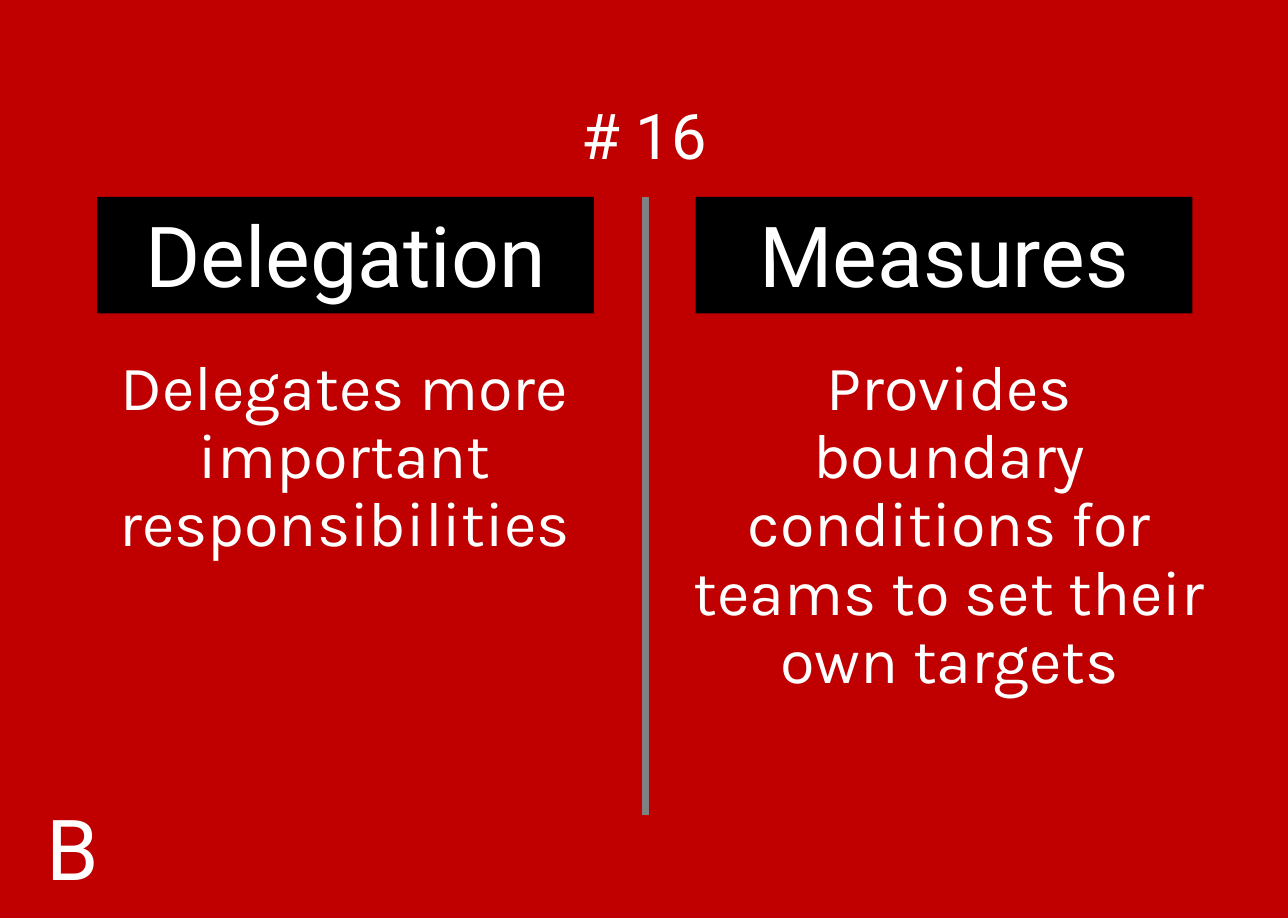
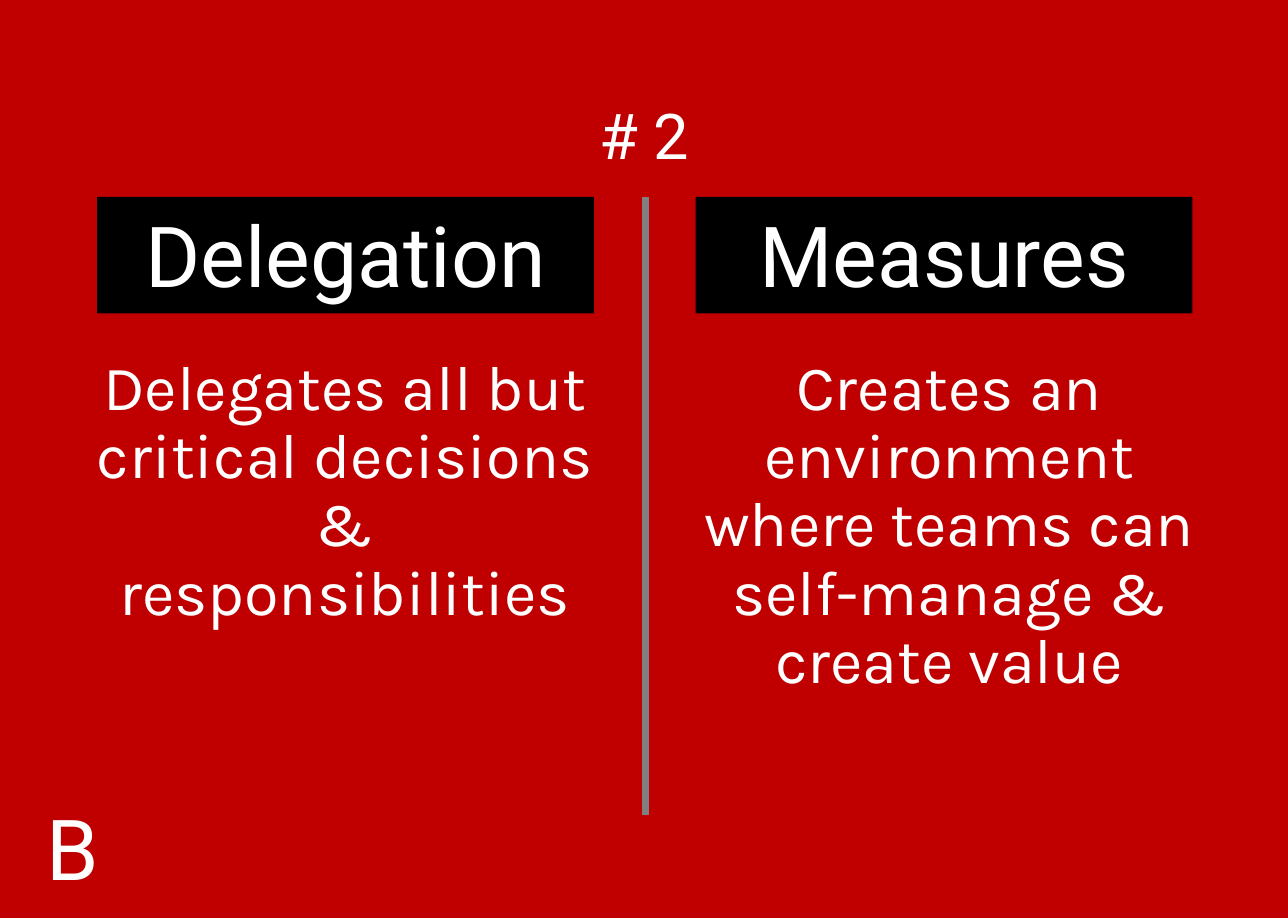
from dataclasses import dataclass

from lxml.etree import SubElement
from pptx import Presentation
from pptx.dml.color import RGBColor
from pptx.enum.shapes import MSO_CONNECTOR, MSO_SHAPE
from pptx.enum.text import MSO_ANCHOR, MSO_AUTO_SIZE, PP_ALIGN
from pptx.oxml.ns import qn
from pptx.util import Inches, Pt


@dataclass(frozen=True)
class Theme:
    red: RGBColor = RGBColor(0xC0, 0x00, 0x00)
    black: RGBColor = RGBColor(0x00, 0x00, 0x00)
    gray: RGBColor = RGBColor(0x80, 0x80, 0x80)
    white: RGBColor = RGBColor(0xFF, 0xFF, 0xFF)
    head: str = "Roboto"
    body: str = "Karla"
    big: int = 40
    mid: int = 30
    rule: int = 3


THEME = Theme()
WIDE, HIGH = 8.5, 6.06
TOP, BASE, BAND = 1.3, 5.38, 0.77
TEXT = 2.19
COLS = (
    ("Delegation", 0.64, 0.5, 3.55),
    ("Measures", 4.59, 4.46, 3.61),
)
CARDS = (
    ("# 16", (
        "Delegates more important responsibilities",
        "Provides boundary conditions for teams to set their own targets",
    )),
    ("# 2", (
        "Delegates all but critical decisions & responsibilities",
        "Creates an environment where teams can self-manage & create value",
    )),
)


def write(shape, text, font=THEME.head, size=THEME.mid, align=PP_ALIGN.CENTER,
          anchor=MSO_ANCHOR.TOP, inset=0.05, line=0.9):
    frame = shape.text_frame
    frame.word_wrap = True
    frame.auto_size = MSO_AUTO_SIZE.NONE
    frame.vertical_anchor = anchor
    frame.margin_left = frame.margin_right = Inches(0.1)
    frame.margin_top, frame.margin_bottom = Inches(inset), Inches(0.05)
    frame.text = text
    para = frame.paragraphs[0]
    para.alignment = align
    para.line_spacing = line
    para.space_before = Pt(0)
    para.font.name = font
    para.font.size = Pt(size)
    para.font.color.rgb = THEME.white


class Deck:
    def __init__(self, theme):
        self.theme = theme
        self.prs = Presentation()
        self.prs.slide_width, self.prs.slide_height = Inches(WIDE), Inches(HIGH)
        fill = self.prs.slide_master.background.fill
        fill.solid()
        fill.fore_color.rgb = theme.red
        self.slide = None

    def start(self):
        self.slide = self.prs.slides.add_slide(self.prs.slide_layouts[5])

    def title(self, text):
        box = self.slide.shapes.title
        box.left, box.top = Inches(3.64), Inches(0.53)
        box.width, box.height = Inches(1.22), Inches(BAND)
        write(box, text, inset=0.16)

    def rule(self, x):
        line = self.slide.shapes.add_connector(
            MSO_CONNECTOR.STRAIGHT, Inches(x), Inches(TOP), Inches(x), Inches(BASE))
        line.line.color.rgb = self.theme.gray
        line.line.width = Pt(self.theme.rule)
        SubElement(line._element.spPr, qn("a:effectLst"))

    def band(self, text, left):
        bar = self.slide.shapes.add_shape(
            MSO_SHAPE.RECTANGLE, Inches(left), Inches(TOP), Inches(3.28), Inches(BAND))
        bar.shadow.inherit = False
        bar.fill.solid()
        bar.fill.fore_color.rgb = self.theme.black
        bar.line.fill.background()
        write(bar, text, size=self.theme.big, anchor=MSO_ANCHOR.BOTTOM)

    def text(self, text, left, top, width, height, **form):
        box = self.slide.shapes.add_textbox(
            Inches(left), Inches(top), Inches(width), Inches(height))
        write(box, text, **form)

    def card(self, title, notes):
        self.start()
        self.rule(4.26)
        self.title(title)
        for (head, edge, left, width), note in zip(COLS, notes):
            self.text(note, left, TEXT, width, BASE - TEXT,
                      font=self.theme.body, inset=0.16)
            self.band(head, edge)
        self.text("B", 0.21, 5.21, 0.43, BAND, size=self.theme.big,
                  align=PP_ALIGN.LEFT, line=1.0)


def main():
    deck = Deck(THEME)
    for title, notes in CARDS:
        deck.card(title, notes)
    deck.prs.save("out.pptx")


if __name__ == "__main__":
    main()
